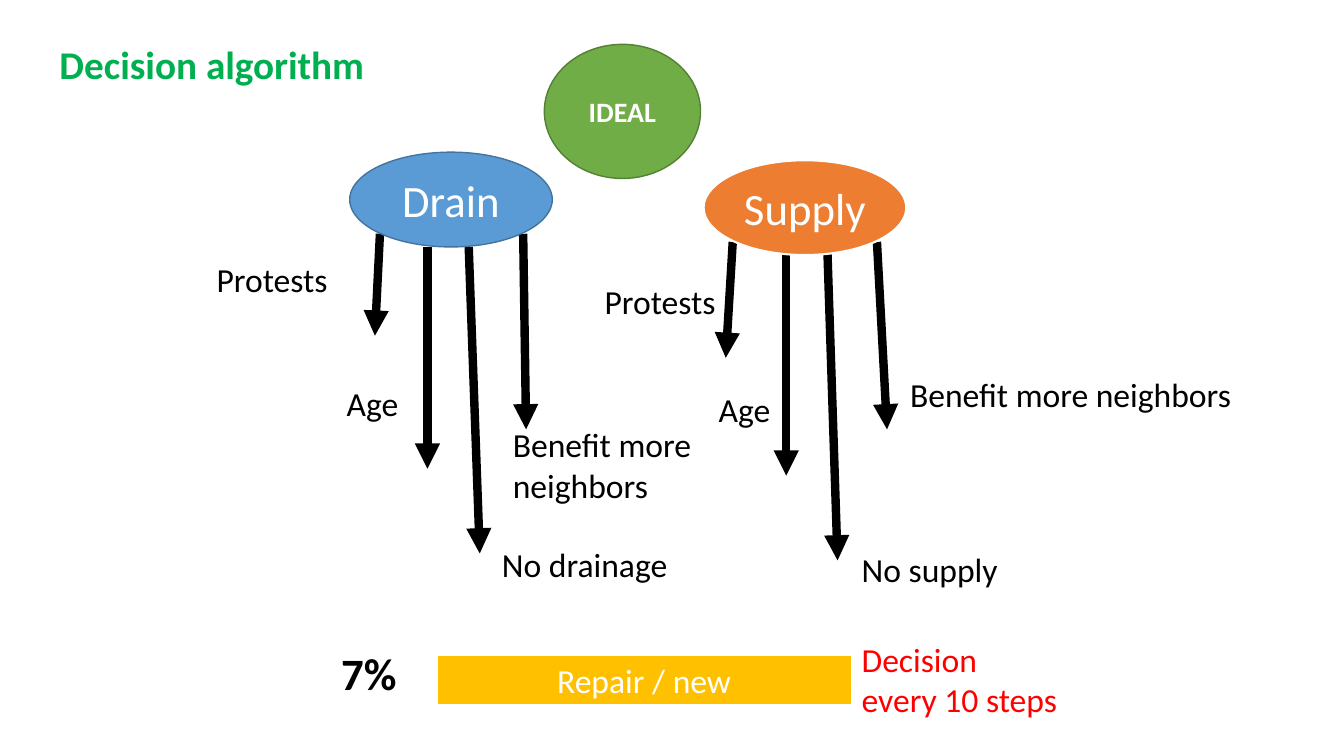
from lxml import etree
from pptx import Presentation
from pptx import util as u
from pptx.dml.color import RGBColor
from pptx.enum import shapes, text
from pptx.oxml.ns import qn

BLACK = RGBColor(0x00, 0x00, 0x00)
WHITE = RGBColor(0xFF, 0xFF, 0xFF)
RED = RGBColor(0xFF, 0x00, 0x00)
TITLE_GREEN = RGBColor(0x00, 0xB0, 0x50)
GREEN = RGBColor(0x70, 0xAD, 0x47)
DARK_GREEN = RGBColor(0x53, 0x80, 0x35)
BLUE = RGBColor(0x5B, 0x9B, 0xD5)
DARK_BLUE = RGBColor(0x43, 0x73, 0x9E)
ORANGE = RGBColor(0xED, 0x7D, 0x31)
GOLD = RGBColor(0xFF, 0xC0, 0x00)
FONT = "Calibri"
OVAL = shapes.MSO_SHAPE.OVAL
BAR = shapes.MSO_SHAPE.RECTANGLE
LEFT, CENTER = text.PP_ALIGN.LEFT, text.PP_ALIGN.CENTER
TOP, MIDDLE = text.MSO_ANCHOR.TOP, text.MSO_ANCHOR.MIDDLE

TITLE = ("Decision algorithm", (35.3, 25.2, 236.2, 41))

ARROWS = [
    ((271.4, 167), (267.8, 239.8)),
    ((305.3, 176.4), (305.3, 334.8)),
    ((334.8, 176.4), (342.7, 395.3)),
    ((373.7, 167), (375.8, 306.7)),
    ((523.4, 172.8), (518.4, 255.6)),
    ((561.6, 181.4), (561.6, 339.8)),
    ((591.1, 181.4), (598.3, 400.3)),
    ((626.4, 172.8), (633.6, 306.7)),
]

BLOCKS = [
    ("Supply", OVAL, (502.6, 114.5, 144.7, 67.7), ORANGE, WHITE, 1.5, 32, False),
    ("IDEAL", OVAL, (388.8, 31.7, 111.6, 95.8), GREEN, DARK_GREEN, 1, 20, True),
    ("Drain", OVAL, (249.8, 108.7, 144.7, 67.7), BLUE, DARK_BLUE, 1, 32, False),
    ("Repair / new", BAR, (311.8, 468, 296.6, 36), GOLD, WHITE, 1.5, 24, False),
]

LABELS = [
    ("Protests", (147.6, 181.4, 114.5, 36)),
    ("Age", (240.5, 270, 73.4, 36)),
    ("No drainage", (351.4, 385.2, 183.6, 36)),
    ("Benefit more neighbors", (359.3, 299.5, 155.5, 65.5)),
    ("Protests", (424.8, 197.3, 95.8, 36)),
    ("Age", (506.2, 274.3, 73.4, 36)),
    ("No supply", (608.4, 388.8, 183.6, 36)),
    ("Benefit more neighbors", (643, 263.5, 274.3, 36)),
]
DECISION = ("Decision every 10 steps", (608.4, 452.9, 155.5, 65.5))
SHARE = ("7%", (218.2, 457.9, 90.7, 46.1))


def points(values):
    return [u.Pt(value) for value in values]


def write(shape, words, size, color, bold=False, align=LEFT, anchor=TOP):
    frame = shape.text_frame
    frame.word_wrap = True
    frame.auto_size = text.MSO_AUTO_SIZE.NONE
    frame.vertical_anchor = anchor
    paragraph = frame.paragraphs[0]
    paragraph.alignment = align
    paragraph.line_spacing = 1.0
    run = paragraph.add_run()
    run.text = words
    run.font.name = FONT
    run.font.size = u.Pt(size)
    run.font.bold = bold
    run.font.color.rgb = color


def add_label(words, box, size=24, color=BLACK, bold=False, align=LEFT):
    label = slide.shapes.add_textbox(*points(box))
    write(label, words, size, color, bold, align)


def add_block(words, kind, box, fill, outline, width, size, bold):
    shape = slide.shapes.add_shape(kind, *points(box))
    shape.shadow.inherit = False
    shape.fill.solid()
    shape.fill.fore_color.rgb = fill
    shape.line.color.rgb = outline
    shape.line.width = u.Pt(width)
    write(shape, words, size, WHITE, bold, CENTER, MIDDLE)


def add_arrow(start, end):
    arrow = slide.shapes.add_connector(
        shapes.MSO_CONNECTOR.STRAIGHT, *points(start + end))
    arrow.line.color.rgb = BLACK
    arrow.line.width = u.Pt(6)
    properties = arrow.element.spPr
    line = properties.find(qn("a:ln"))
    etree.SubElement(line, qn("a:tailEnd"), type="triangle")
    etree.SubElement(properties, qn("a:effectLst"))


presentation = Presentation()
presentation.slide_width = u.Pt(960)
presentation.slide_height = u.Pt(540)
slide = presentation.slides.add_slide(presentation.slide_layouts[5])

title_words, title_box = TITLE
title = slide.shapes.title
title.left, title.top, title.width, title.height = points(title_box)
write(title, title_words, 28, TITLE_GREEN, bold=True)

for start, end in ARROWS:
    add_arrow(start, end)
for block in BLOCKS:
    add_block(*block)
for words, box in LABELS:
    add_label(words, box)
add_label(*DECISION, color=RED)
add_label(*SHARE, size=32, bold=True, align=CENTER)

presentation.save("out.pptx")
